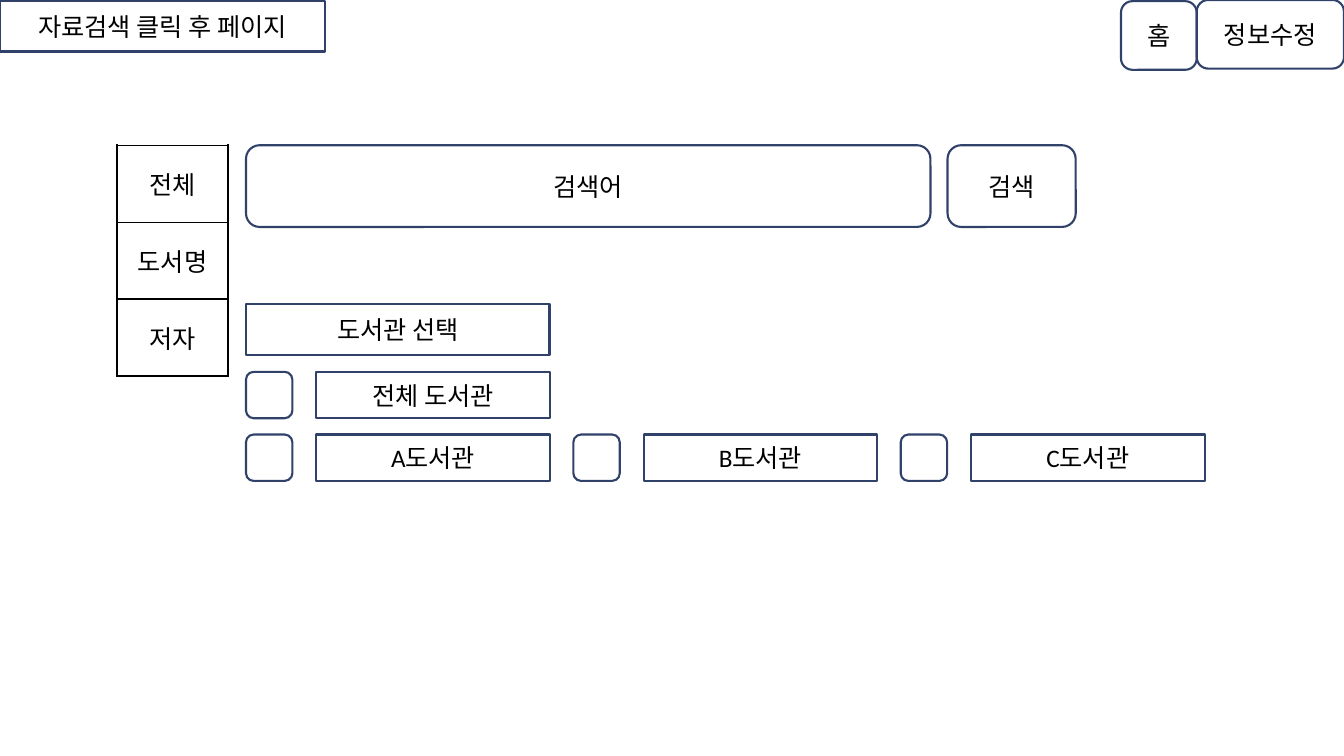
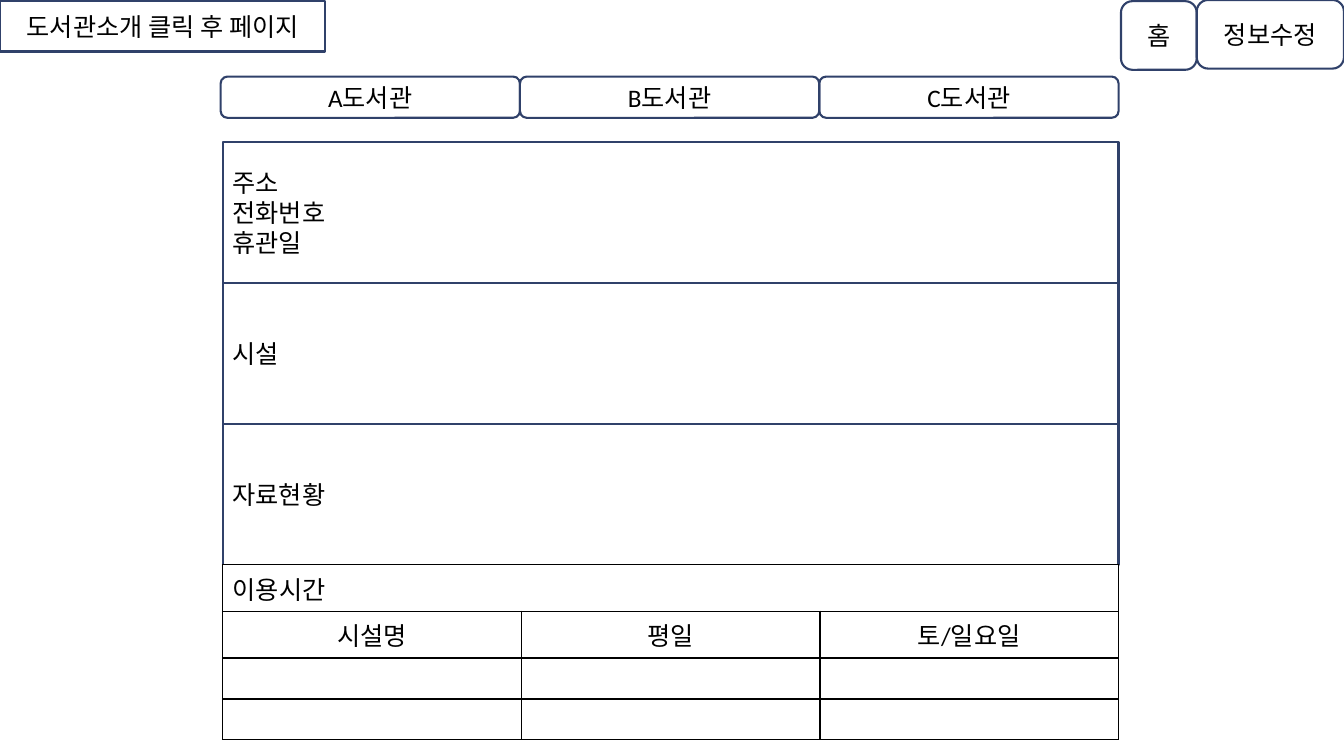
from lxml import etree
from pptx import Presentation
from pptx.dml.color import RGBColor
from pptx.enum.shapes import MSO_SHAPE
from pptx.enum.text import MSO_ANCHOR, PP_ALIGN
from pptx.oxml.ns import qn
from pptx.util import Cm, Pt

RECT = MSO_SHAPE.RECTANGLE
ROUND = MSO_SHAPE.ROUNDED_RECTANGLE
LEFT, CENTER = PP_ALIGN.LEFT, PP_ALIGN.CENTER
TOP, MIDDLE = MSO_ANCHOR.TOP, MSO_ANCHOR.MIDDLE

NAVY, BLACK, WHITE = "30416A", "000000", "FFFFFF"
FONT = "Calibri"
SLIDE_W, SLIDE_H = 33.87, 19.05
LIBRARIES = ["A도서관", "B도서관", "C도서관"]


def rgb(value):
    """Return the colour for a hex string."""
    return RGBColor.from_string(value)


def write(tf, text, align=CENTER, size=18, color=BLACK):
    """Write text into a frame, one paragraph per line."""
    for i, line in enumerate(text.split("\n")):
        p = tf.add_paragraph() if i else tf.paragraphs[0]
        p.alignment = align
        r = p.add_run()
        r.text = line
        r.font.name = FONT
        r.font.size = Pt(size)
        r.font.color.rgb = rgb(color)


def add_box(s, x, y, w, h, text="", kind=RECT, align=CENTER):
    """Add an outlined box with optional text."""
    sp = s.shapes.add_shape(kind, Cm(x), Cm(y), Cm(w), Cm(h))
    sp.shadow.inherit = False
    sp.fill.background()
    sp.line.color.rgb = rgb(NAVY)
    sp.line.width = Pt(1.5)
    sp.text_frame.vertical_anchor = MIDDLE
    if text:
        write(sp.text_frame, text, align)


def style_cell(cell):
    """Give a cell black borders and a white fill."""
    tc_pr = cell._tc.get_or_add_tcPr()
    for side in ("lnL", "lnR", "lnT", "lnB"):
        ln = etree.SubElement(tc_pr, qn(f"a:{side}"), w=str(Pt(1.2)))
        fill = etree.SubElement(ln, qn("a:solidFill"))
        etree.SubElement(fill, qn("a:srgbClr"), val=BLACK)
    cell.fill.solid()
    cell.fill.fore_color.rgb = rgb(WHITE)


def add_grid(s, x, y, w, row_h, rows, anchor):
    """Add a bordered table with equal columns and centred text."""
    n = len(rows[0])
    frame = s.shapes.add_table(len(rows), n, Cm(x), Cm(y), Cm(w), Cm(row_h * len(rows)))
    table = frame.table
    table.first_row = table.horz_banding = False
    for i, row in enumerate(rows):
        table.rows[i].height = Cm(row_h)
        for j, text in enumerate(row):
            cell = table.cell(i, j)
            style_cell(cell)
            cell.vertical_anchor = anchor
            if text:
                write(cell.text_frame, text)
    return table


def add_page(prs, title):
    """Add a blank slide with its title tag and the two top buttons."""
    s = prs.slides.add_slide(prs.slide_layouts[6])
    add_box(s, 0, 0.03, 8.2, 1.27, title)
    add_box(s, SLIDE_W - 3.71, 0, 3.71, 1.73, "정보수정", ROUND)
    add_box(s, SLIDE_W - 5.62, 0.03, 1.91, 1.73, "홈", ROUND)
    return s


def add_search_bar(s, x, y, h):
    """Add the search field and its button."""
    add_box(s, x, y, 17.25, h, "검색어", ROUND)
    add_box(s, x + 17.68, y, 3.23, h, "검색", ROUND)


def add_library_picker(s, x, y):
    """Add the library heading with its rows of check boxes."""
    add_box(s, x, y, 7.65, 1.27, "도서관 선택")
    size, col_step, row_step = 1.17, 8.25, 1.58
    for i, names in enumerate([["전체 도서관"], LIBRARIES]):
        for j, name in enumerate(names):
            left, top = x + j * col_step, y + 1.7 + i * row_step
            add_box(s, left, top, size, size, kind=ROUND)
            add_box(s, left + 1.77, top, 5.89, size, name)


def add_tabs(s, x, y, w, h):
    """Add one tab per library across the width."""
    tab_w = w / len(LIBRARIES)
    for i, name in enumerate(LIBRARIES):
        add_box(s, x + i * tab_w, y, tab_w, h, name, ROUND)


def add_details(s, x, y, w, h):
    """Stack the library detail panels."""
    panels = ["주소\n전화번호\n휴관일", "시설", "자료현황"]
    panel_h = h / len(panels)
    for i, text in enumerate(panels):
        add_box(s, x, y + i * panel_h, w, panel_h, text, align=LEFT)


def add_hours(s, x, y, w):
    """Add the opening hours table under a merged heading."""
    blank = [""] * 3
    rows = [blank, ["시설명", "평일", "토/일요일"], blank, blank]
    table = add_grid(s, x, y, w, 1.03, rows, TOP)
    heading = table.cell(0, 0)
    heading.merge(table.cell(0, 2))
    write(heading.text_frame, "이용시간", LEFT)


def build_search(prs):
    """Build the search page."""
    s = add_page(prs, "자료검색 클릭 후 페이지")
    add_grid(s, 2.95, 3.66, 2.79, 1.94, [["전체"], ["도서명"], ["저자"]], MIDDLE)
    add_search_bar(s, 6.2, 3.66, 2.06)
    add_library_picker(s, 6.2, 7.67)


def build_library(prs):
    """Build the library introduction page."""
    s = add_page(prs, "도서관소개 클릭 후 페이지")
    add_tabs(s, 5.56, 1.93, 22.63, 1.04)
    add_details(s, 5.61, 3.58, 22.58, 10.65)
    add_hours(s, 5.61, 14.23, 22.58)


def main():
    """Build and save the presentation."""
    prs = Presentation()
    prs.slide_width, prs.slide_height = Cm(SLIDE_W), Cm(SLIDE_H)
    build_search(prs)
    build_library(prs)
    prs.save("out.pptx")


if __name__ == "__main__":
    main()
